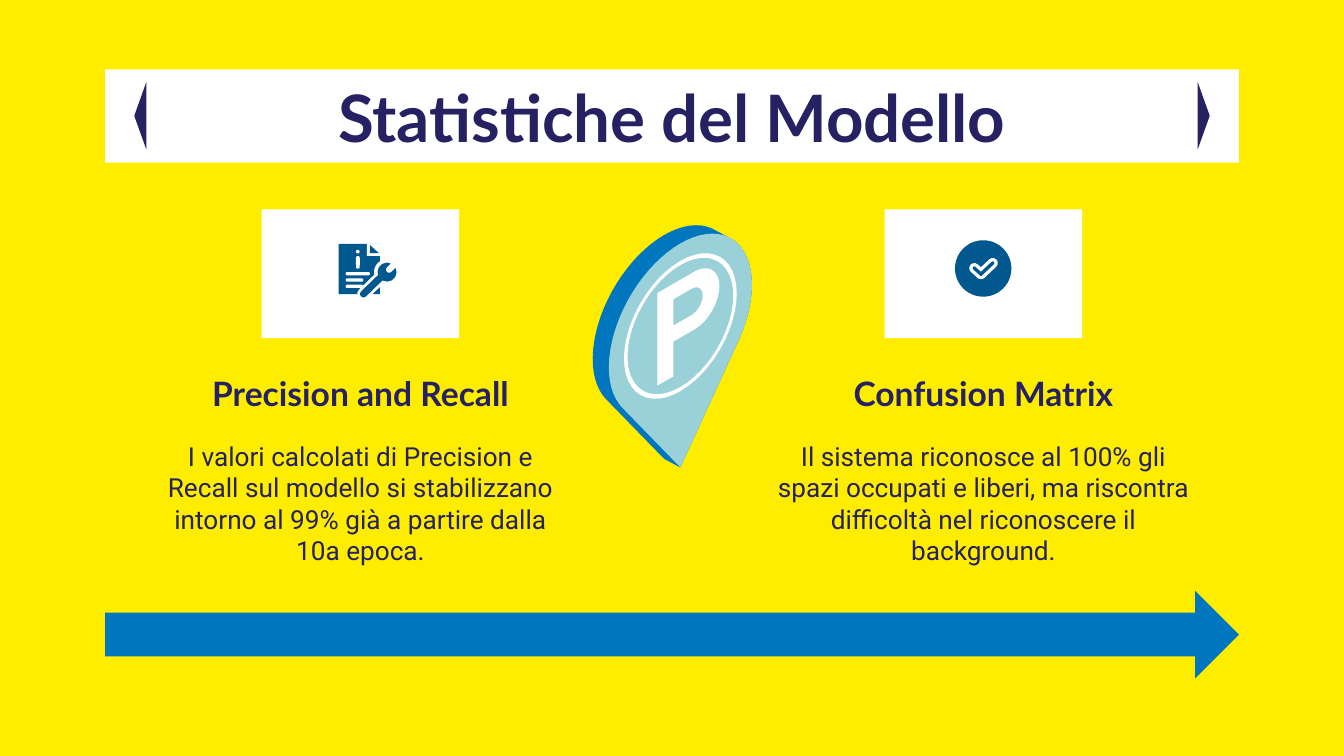
"""Builds the slide on the statistics of the parking model."""
import math

import pptx
import pptx.dml.color
import pptx.enum.shapes
import pptx.enum.text
import pptx.util

NAVY, BLUE, ICON_BLUE = "262162", "0076BE", "00588E"
AQUA, WHITE, YELLOW = "9AD1D8", "FFFFFF", "FFED00"
SHAPES = pptx.enum.shapes.MSO_SHAPE
ANCHOR = pptx.enum.text.MSO_ANCHOR

BANNER_LEFT, BANNER_WIDTH = 75, 810
COLUMN_WIDTH, CARD_WIDTH = 314.6, 141.1
PIN_CENTRE = (486, 232.9)
PIN_RADIUS, PIN_TIP = 59, 101
PIN_DEPTH = (-13.3, -12.7)
ARC_STEPS = 48


def rgb(color):
    """Return the colour for a hex string."""
    return pptx.dml.color.RGBColor.from_string(color)


def paint(shape, color):
    """Give a shape a solid fill without a line."""
    shape.fill.solid()
    shape.fill.fore_color.rgb = rgb(color)
    shape.line.fill.background()


def place(shape, left, top, width, height):
    """Set the position and size of a shape in points."""
    shape.left, shape.top = pptx.util.Pt(left), pptx.util.Pt(top)
    shape.width, shape.height = pptx.util.Pt(width), pptx.util.Pt(height)


def add_block(slide, kind, box, color, rotation=0):
    """Add a filled preset shape."""
    block = slide.shapes.add_shape(kind, *map(pptx.util.Pt, box))
    block.shadow.inherit = False
    block.rotation = rotation
    paint(block, color)
    return block


def add_disc(slide, centre, diameter, color):
    """Add a circle around a centre."""
    x, y = centre
    box = (x - diameter / 2, y - diameter / 2, diameter, diameter)
    return add_block(slide, SHAPES.OVAL, box, color)


def add_stroke(slide, start, end, thickness, color):
    """Add a bar with round ends that runs between two points."""
    (x1, y1), (x2, y2) = start, end
    length = math.dist(start, end) + thickness
    box = ((x1 + x2 - length) / 2, (y1 + y2 - thickness) / 2, length, thickness)
    angle = math.degrees(math.atan2(y2 - y1, x2 - x1))
    stroke = add_block(slide, SHAPES.ROUNDED_RECTANGLE, box, color, angle)
    stroke.adjustments[0] = 0.5
    return stroke


def arc(centre, radius, first, last):
    """Return points on an arc between two angles in degrees."""
    angles = (math.radians(first + (last - first) * step / ARC_STEPS)
              for step in range(ARC_STEPS + 1))
    return [(centre[0] + radius * math.cos(a), centre[1] + radius * math.sin(a))
            for a in angles]


def tilt(point):
    """Project a point of the flat pin onto the slide in isometric view."""
    across, down = point
    return (pptx.util.Pt(PIN_CENTRE[0] + across * math.cos(math.radians(30))),
            pptx.util.Pt(PIN_CENTRE[1] + down - across * math.sin(math.radians(30))))


def add_tilted(slide, color, *contours):
    """Add an isometric freeform; contours after the first are holes."""
    outer, *holes = ([tilt(point) for point in contour] for contour in contours)
    builder = slide.shapes.build_freeform(*outer[0])
    builder.add_line_segments(outer[1:], close=True)
    for hole in holes:
        builder.move_to(*hole[0])
        builder.add_line_segments(hole[1:], close=True)
    outline = builder.convert_to_shape()
    outline.shadow.inherit = False
    paint(outline, color)
    return outline


def add_pin(slide):
    """Add the parking pin: a tilted drop with depth, a ring and a letter."""
    centre, tip = (0, 0), (0, PIN_TIP)
    tangent = math.degrees(math.asin(PIN_RADIUS / PIN_TIP))
    head = arc(centre, PIN_RADIUS, 180 - tangent, 360 + tangent)

    def push_back(point):
        return point[0] + PIN_DEPTH[0], point[1] + PIN_DEPTH[1]

    def faces_back(point):
        return point[0] * PIN_DEPTH[0] + point[1] * PIN_DEPTH[1] > 0

    side = [push_back(point) if faces_back(point) else point for point in head]
    stem_left, stem_right, stem_end = -19, -5.8, 33
    bowl = arc((11.5, -12.4), 20.6, -90, 90)
    counter = arc((9, -12.6), 9.4, -90, 90)
    letter = [(stem_left, -stem_end), *bowl, (stem_right, bowl[-1][1]),
              (stem_right, stem_end), (stem_left, stem_end)]
    gap = [(stem_right, counter[0][1]), *counter, (stem_right, counter[-1][1])]
    slide.shapes.add_group_shape([
        add_tilted(slide, BLUE, [tip, push_back(tip), *side]),
        add_tilted(slide, AQUA, [tip, *head]),
        add_tilted(slide, WHITE, arc(centre, 46.5, 0, 360), arc(centre, 43.6, 0, 360)),
        add_tilted(slide, WHITE, letter, gap)])


def add_report_icon(slide):
    """Add a page with a folded corner, an info mark, text lines and a wrench."""
    info_x, lines_left = 255.6, 248.1
    parts = [
        add_block(slide, SHAPES.RECTANGLE, (241.9, 174.2, 29.5, 36), ICON_BLUE),
        add_block(slide, SHAPES.RECTANGLE, (262.1, 174, 9.5, 8.9), WHITE),
        add_block(slide, SHAPES.RIGHT_TRIANGLE, (264.2, 175, 6.5, 5.8), ICON_BLUE),
        add_disc(slide, (info_x, 179.8), 2.6, WHITE),
        add_stroke(slide, (info_x, 184.2), (info_x, 190.6), 2.7, WHITE)]
    for row, right in enumerate((263.1, 258.3, 258.3)):
        y = 195.5 + 4.5 * row
        parts.append(add_stroke(slide, (lines_left, y), (right, y), 2.4, WHITE))

    handle_end, neck, wrench_head = (259.7, 210), (273.5, 196.6), (276.5, 194.4)
    for color, handle, diameter in ((WHITE, 9, 18.6), (ICON_BLUE, 5, 13.6)):
        parts.append(add_stroke(slide, handle_end, neck, handle, color))
        parts.append(add_disc(slide, wrench_head, diameter, color))
    parts.append(add_stroke(slide, (278, 192.6), (283, 187.6), 4.4, WHITE))
    slide.shapes.add_group_shape(parts)


def add_check_icon(slide):
    """Add a disc with an outlined check mark."""
    parts = [add_disc(slide, (702.3, 191.8), 40.3, ICON_BLUE)]
    left, bottom, right = (695.9, 191.5), (700.7, 195.8), (709.1, 187.9)
    for thickness, color in ((7.2, WHITE), (2.4, ICON_BLUE)):
        for end in (left, right):
            parts.append(add_stroke(slide, bottom, end, thickness, color))
    slide.shapes.add_group_shape(parts)


def write(shape, text, *, size, font, bold=False, anchor=ANCHOR.TOP, after=0):
    """Write centred navy text into a shape."""
    frame = shape.text_frame
    frame.word_wrap = True
    frame.auto_size = pptx.enum.text.MSO_AUTO_SIZE.NONE
    frame.vertical_anchor = anchor
    frame.margin_left = frame.margin_right = pptx.util.Pt(9.6)
    frame.margin_top = frame.margin_bottom = pptx.util.Pt(9.6)
    paragraph = frame.paragraphs[0]
    paragraph.alignment = pptx.enum.text.PP_ALIGN.CENTER
    paragraph.space_after = pptx.util.Pt(after)
    run = paragraph.add_run()
    run.text = text
    run.font.size = pptx.util.Pt(size)
    run.font.name = font
    run.font.bold = bold
    run.font.color.rgb = rgb(NAVY)


def add_column(slide, left, heading, body):
    """Add a white icon card with its heading and text."""
    card_left = left + (COLUMN_WIDTH - CARD_WIDTH) / 2
    add_block(slide, SHAPES.RECTANGLE, (card_left, 149.6, CARD_WIDTH, 92), WHITE)
    heading_box, body_box = (
        slide.shapes.add_textbox(*map(pptx.util.Pt, (left, top, COLUMN_WIDTH, height)))
        for top, height in ((261, 43.9), (304.9, 113)))
    write(heading_box, heading, size=24, font="Lato", bold=True, anchor=ANCHOR.BOTTOM)
    write(body_box, body, size=18.7, font="Roboto", after=16)


def main():
    """Build and save the slide."""
    deck = pptx.Presentation()
    deck.slide_width, deck.slide_height = pptx.util.Pt(960), pptx.util.Pt(540)
    slide = deck.slides.add_slide(deck.slide_layouts[5])
    slide.background.fill.solid()
    slide.background.fill.fore_color.rgb = rgb(YELLOW)

    title = slide.shapes.title
    place(title, BANNER_LEFT, 49.6, BANNER_WIDTH, 66.6)
    paint(title, WHITE)
    write(title, "Statistiche del Modello", size=46.7, font="Lato", bold=True,
          anchor=ANCHOR.MIDDLE)
    for left, rotation in ((76.2, 270), (835.8, 90)):
        add_block(slide, SHAPES.ISOSCELES_TRIANGLE, (left, 78.4, 48, 8.6), NAVY, rotation)

    add_column(slide, 100.2, "Precision and Recall",
               "I valori calcolati di Precision e Recall sul modello si stabilizzano "
               "intorno al 99% già a partire dalla 10a epoca.")
    add_column(slide, 545.2, "Confusion Matrix",
               "Il sistema riconosce al 100% gli spazi occupati e liberi, ma riscontra "
               "difficoltà nel riconoscere il background.")
    add_pin(slide)
    add_report_icon(slide)
    add_check_icon(slide)
    add_block(slide, SHAPES.RIGHT_ARROW, (BANNER_LEFT, 422, BANNER_WIDTH, 62.6), BLUE)
    deck.save("out.pptx")


if __name__ == "__main__":
    main()
